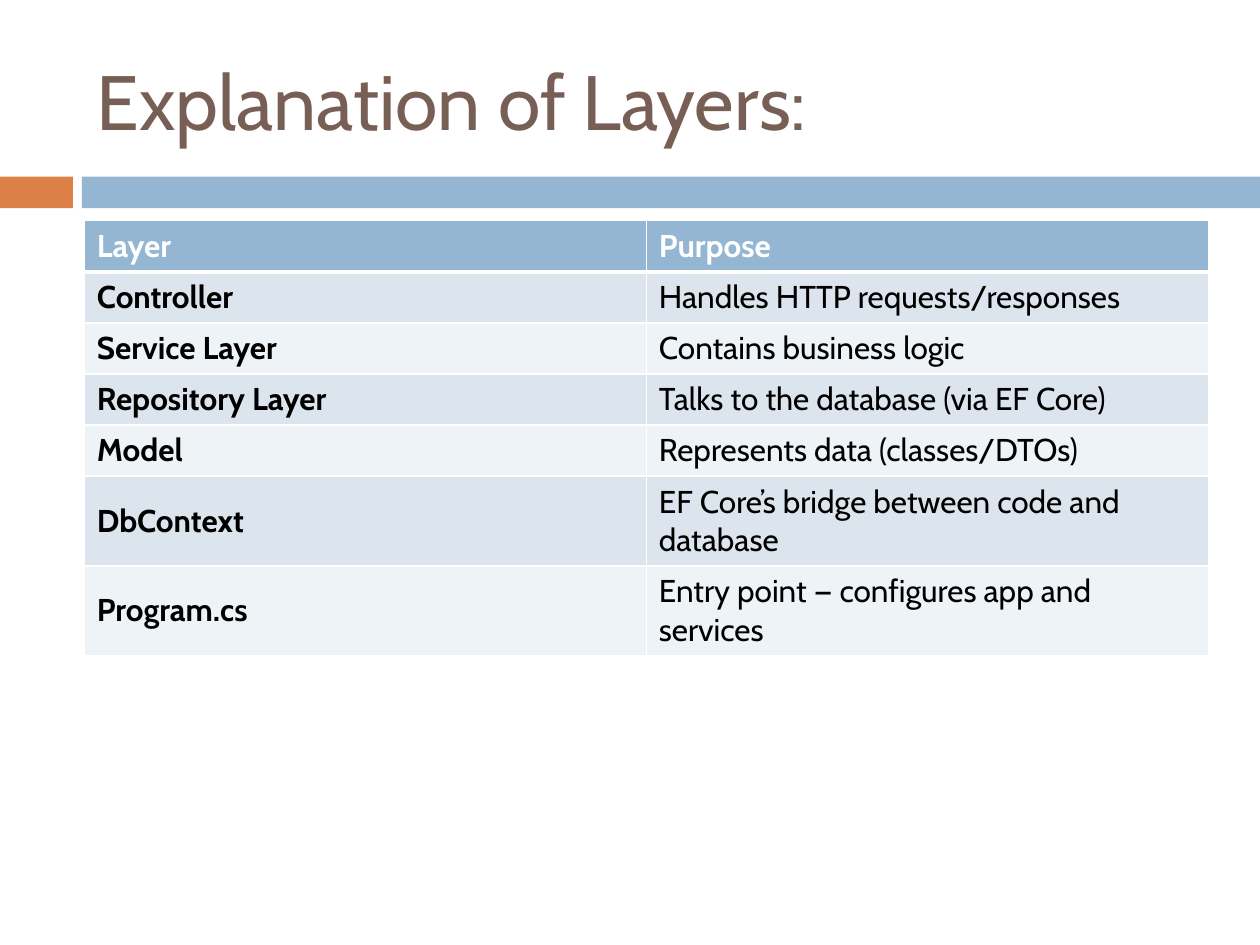
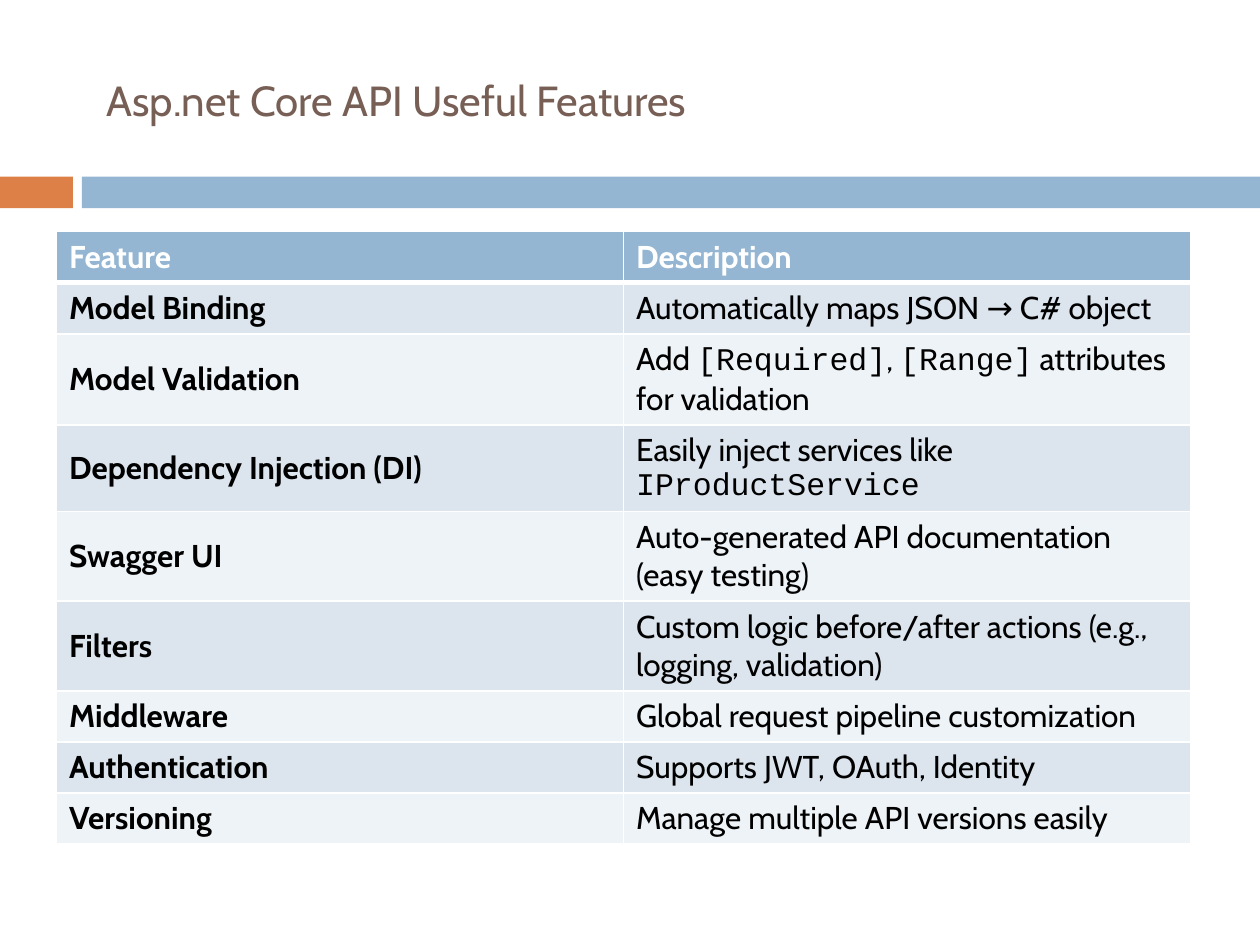
from collections import namedtuple

from lxml import etree
from pptx import Presentation
from pptx.dml.color import RGBColor
from pptx.enum.shapes import MSO_SHAPE
from pptx.enum.text import MSO_ANCHOR, MSO_AUTO_SIZE, PP_ALIGN
from pptx.oxml.ns import qn
from pptx.util import Cm, Pt

Box = namedtuple("Box", "left top width height")

RECTANGLE = MSO_SHAPE.RECTANGLE
MIDDLE = MSO_ANCHOR.MIDDLE
LEFT = PP_ALIGN.LEFT
NO_AUTOFIT = MSO_AUTO_SIZE.NONE

ORANGE = RGBColor(0xDD, 0x80, 0x47)
BLUE = RGBColor(0x94, 0xB6, 0xD2)
BROWN = RGBColor(0x77, 0x5F, 0x55)
WHITE = RGBColor(0xFF, 0xFF, 0xFF)
BLACK = RGBColor(0x00, 0x00, 0x00)
STRIPES = (RGBColor(0xDC, 0xE5, 0xEE), RGBColor(0xEE, 0xF3, 0xF7))

TEXT_FONT = "Cabin"
CODE_FONT = "Courier New"
TITLE_INSET = 0.25
ROW_HEIGHT = 1.03
THIN, THICK = 1, 3

SLIDE = Box(0, 0, 25.4, 19.05)
TITLE_BOX = Box(1.7, 0.64, 22.66, 2.74)
BAND_BOX = Box(0, 3.56, SLIDE.width, 0.64)

LAYERS = [
    ("Layer", "Purpose"),
    ("Controller", "Handles HTTP requests/responses"),
    ("Service Layer", "Contains business logic"),
    ("Repository Layer", "Talks to the database (via EF Core)"),
    ("Model", "Represents data (classes/DTOs)"),
    ("DbContext", "EF Core’s bridge between code and database"),
    ("Program.cs", "Entry point — configures app and services"),
]
FEATURES = [
    ("Feature", "Description"),
    ("Model Binding", "Automatically maps JSON → C# object"),
    ("Model Validation", "Add `[Required]`, `[Range]` attributes for validation"),
    ("Dependency Injection (DI)", "Easily inject services like `IProductService`"),
    ("Swagger UI", "Auto-generated API documentation (easy testing)"),
    ("Filters", "Custom logic before/after actions (e.g., logging, validation)"),
    ("Middleware", "Global request pipeline customization"),
    ("Authentication", "Supports JWT, OAuth, Identity"),
    ("Versioning", "Manage multiple API versions easily"),
]


def write_text(frame, text, size=18, color=BLACK, bold=False):
    """Write one left-aligned paragraph, setting parts in backticks as code."""
    paragraph = frame.paragraphs[0]
    paragraph.alignment = LEFT
    for index, part in enumerate(text.split("`")):
        if part:
            run = paragraph.add_run()
            run.text = part
            run.font.name = CODE_FONT if index % 2 else TEXT_FONT
            run.font.size = Pt(size)
            run.font.bold = bold
            run.font.color.rgb = color


def add_title(slide, box, text, size, indent):
    """Place the title placeholder in the box and fill it."""
    title = slide.shapes.title
    title.left, title.top, title.width, title.height = map(Cm, box)
    frame = title.text_frame
    frame.auto_size = NO_AUTOFIT
    frame.vertical_anchor = MIDDLE
    frame.margin_left = Cm(TITLE_INSET + indent)
    write_text(frame, text, size=size, color=BROWN)


def add_bands(slide, box):
    """Draw the short orange and the long blue band across the box."""
    accent_width, rule_start = 1.47, 1.65
    bands = (
        (0, accent_width, ORANGE),
        (rule_start, box.width - rule_start, BLUE),
    )
    for offset, width, color in bands:
        band = slide.shapes.add_shape(
            RECTANGLE, Cm(box.left + offset), Cm(box.top), Cm(width), Cm(box.height))
        band.shadow.inherit = False
        band.fill.solid()
        band.fill.fore_color.rgb = color
        band.line.fill.background()


def set_borders(cell, top, bottom):
    """Give the cell white borders, with the top and bottom widths in points."""
    properties = cell._tc.get_or_add_tcPr()
    for side, width in (("L", THIN), ("R", THIN), ("T", top), ("B", bottom)):
        line = etree.SubElement(properties, qn(f"a:ln{side}"), w=str(Pt(width)))
        fill = etree.SubElement(line, qn("a:solidFill"))
        etree.SubElement(fill, qn("a:srgbClr"), val=str(WHITE))


def add_striped_table(slide, box, rows):
    """Fill the box with equal columns, a blue header and striped rows."""
    table = slide.shapes.add_table(len(rows), len(rows[0]), *map(Cm, box)).table
    for row_index, entries in enumerate(rows):
        is_header = row_index == 0
        for column_index, entry in enumerate(entries):
            cell = table.cell(row_index, column_index)
            set_borders(cell, top=THICK if row_index == 1 else THIN,
                        bottom=THICK if is_header else THIN)
            cell.fill.solid()
            cell.fill.fore_color.rgb = BLUE if is_header else STRIPES[(row_index - 1) % 2]
            cell.vertical_anchor = MIDDLE
            write_text(cell.text_frame, entry, color=WHITE if is_header else BLACK,
                       bold=is_header or column_index == 0)


def add_table_slide(deck, title, rows, left, top, width, title_size, title_indent=0):
    """Add a slide with the title, the bands and one table."""
    slide = deck.slides.add_slide(deck.slide_layouts.get_by_name("Title Only"))
    add_bands(slide, BAND_BOX)
    add_title(slide, TITLE_BOX, title, title_size, title_indent)
    add_striped_table(slide, Box(left, top, width, ROW_HEIGHT * len(rows)), rows)


def main():
    """Build and save the two slides."""
    deck = Presentation()
    deck.slide_width, deck.slide_height = Cm(SLIDE.width), Cm(SLIDE.height)
    add_table_slide(deck, "Explanation of Layers:", LAYERS,
                    left=TITLE_BOX.left, top=4.45, width=TITLE_BOX.width, title_size=44)
    add_table_slide(deck, "Asp.net Core API Useful Features", FEATURES,
                    left=1.14, top=4.67, width=22.86, title_size=24, title_indent=0.2)
    deck.save("out.pptx")


if __name__ == "__main__":
    main()
